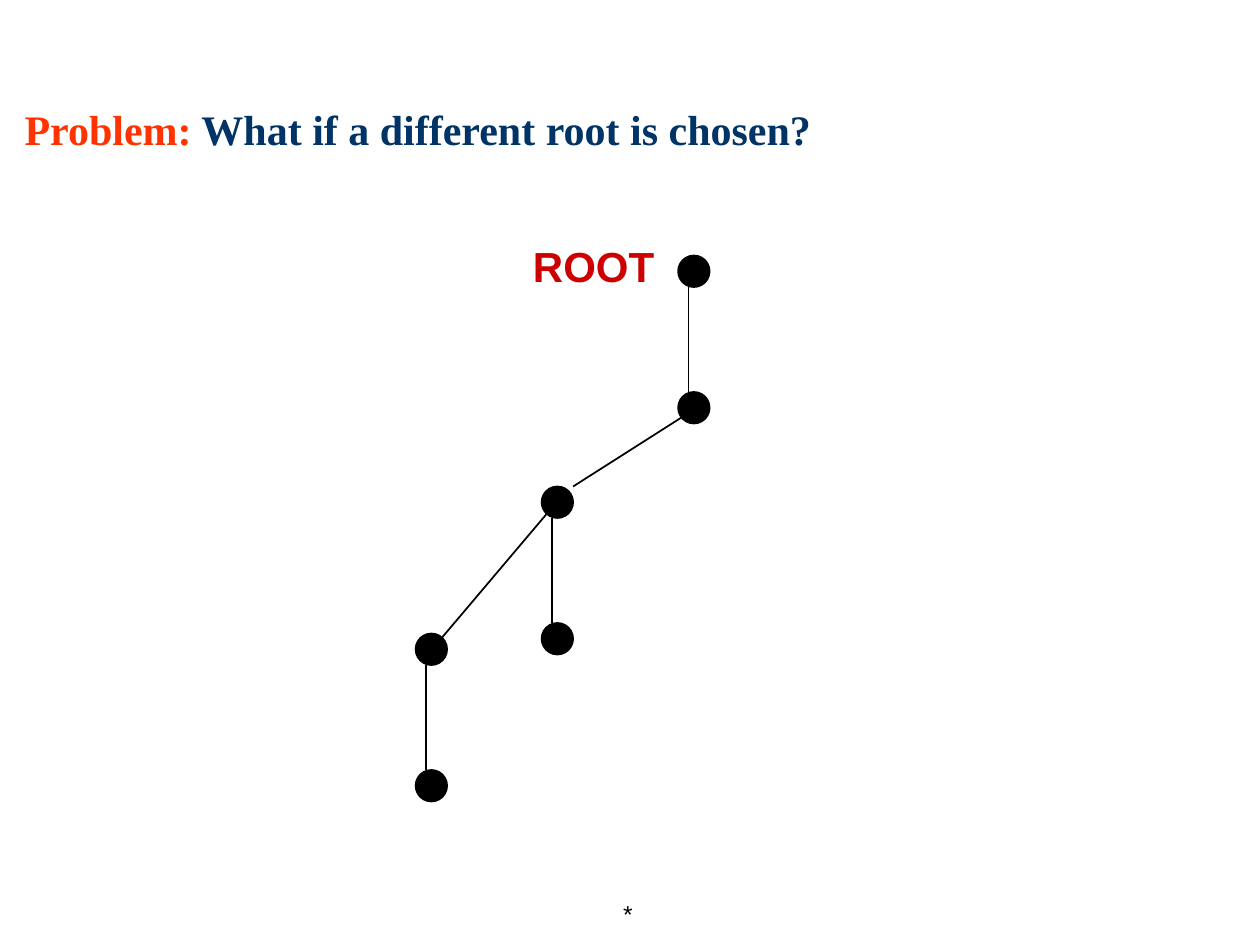
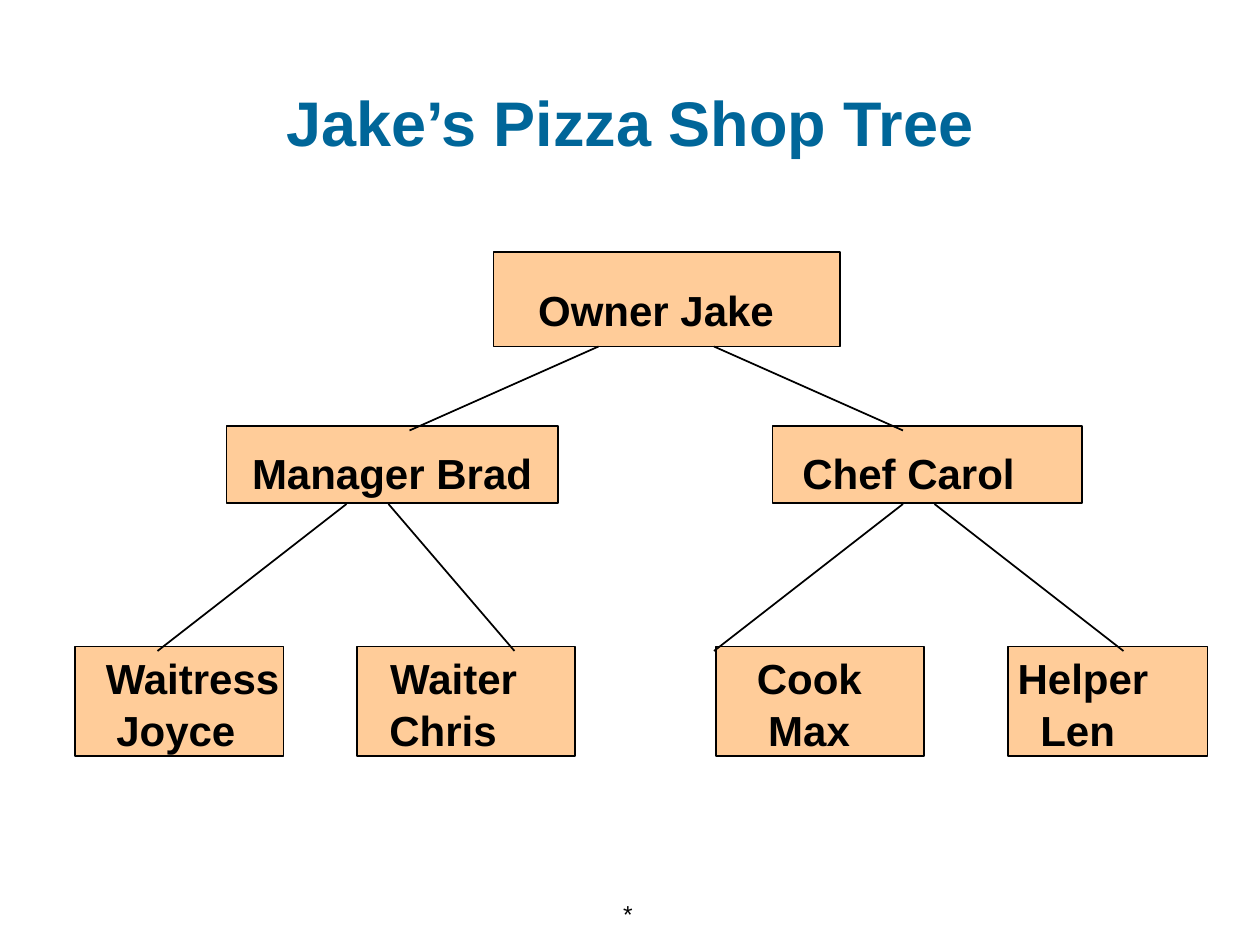
from lxml import etree
from pptx import Presentation
from pptx.dml.color import RGBColor
from pptx.enum.shapes import MSO_CONNECTOR, MSO_SHAPE
from pptx.enum.text import MSO_ANCHOR, PP_ALIGN
from pptx.oxml.ns import qn
from pptx.util import Pt

STRAIGHT = MSO_CONNECTOR.STRAIGHT
OVAL, RECTANGLE = MSO_SHAPE.OVAL, MSO_SHAPE.RECTANGLE
TOP, MIDDLE = MSO_ANCHOR.TOP, MSO_ANCHOR.MIDDLE
LEFT, CENTER, RIGHT = PP_ALIGN.LEFT, PP_ALIGN.CENTER, PP_ALIGN.RIGHT


class Theme:
    black = RGBColor(0x00, 0x00, 0x00)
    problem = RGBColor(0xFF, 0x33, 0x00)
    question = RGBColor(0x00, 0x33, 0x66)
    root = RGBColor(0xCC, 0x00, 0x00)
    title = RGBColor(0x00, 0x66, 0x99)
    box = RGBColor(0xFF, 0xCC, 0x99)
    sans = "Arial"
    serif = "Times New Roman"
    title_size = Pt(36)
    text_size = Pt(24)
    footer_size = Pt(14)
    line_width = Pt(1)


def add_text(slide, frame, parts, font_name, size, alignment=LEFT,
             anchor=TOP, bold=True, wrap=True):
    text_box = slide.shapes.add_textbox(*map(Pt, frame))
    text_frame = text_box.text_frame
    text_frame.word_wrap = wrap
    text_frame.vertical_anchor = anchor
    paragraph = text_frame.paragraphs[0]
    paragraph.alignment = alignment
    for text, color in parts:
        run = paragraph.add_run()
        run.text = text
        run.font.name = font_name
        run.font.size = size
        run.font.bold = bold
        run.font.color.rgb = color


def add_line(slide, *ends):
    connector = slide.shapes.add_connector(STRAIGHT, *map(Pt, ends))
    connector.line.color.rgb = Theme.black
    connector.line.width = Theme.line_width
    etree.SubElement(connector._element.spPr, qn("a:effectLst"))


presentation = Presentation()
presentation.slide_width, presentation.slide_height = Pt(720), Pt(540)
blank_layout = presentation.slide_layouts[6]
root_slide = presentation.slides.add_slide(blank_layout)
shop_slide = presentation.slides.add_slide(blank_layout)
for slide in (root_slide, shop_slide):
    add_text(slide, (320.4, 504, 48.24, 36), [("*", Theme.black)], Theme.sans,
             Theme.footer_size, RIGHT, MIDDLE, bold=False, wrap=False)

filled_shapes = []

node_size, node_step, stem_offset = 18, 78, 6
branches = [(237.5, 362), (309.5, 278), (387.5, 146)]
for left, top in branches:
    add_line(root_slide, left + stem_offset, top + node_size,
             left + stem_offset, top + node_step)
    for node_top in (top, top + node_step):
        node = root_slide.shapes.add_shape(
            OVAL, Pt(left), Pt(node_top), Pt(node_size), Pt(node_size))
        filled_shapes.append((node, Theme.black))
add_line(root_slide, 327.5, 278, 393.5, 236)
add_line(root_slide, 315.5, 290, 249.5, 368)

add_text(root_slide, (297.5, 134, 83.5, 36), [("ROOT", Theme.root)],
         Theme.sans, Theme.text_size, wrap=False)
add_text(root_slide, (7, 55.5, 648, 61),
         [("Problem:", Theme.problem),
          (" What if a different root is chosen?", Theme.question)],
         Theme.serif, Theme.text_size)

add_text(shop_slide, (108, 44, 504, 50.4),
         [("Jake’s Pizza Shop Tree", Theme.title)],
         Theme.sans, Theme.title_size, CENTER)

levels = [
    (144, 54, 18.3, [(282, 198, [("Owner Jake", 25.5)])]),
    (243.5, 44, 12.5, [(129.5, 189.5, [("Manager Brad", 14.5)]),
                       (441.5, 177, [("Chef Carol", 17)])]),
    (369.5, 62.5, 3.5, [(43, 119, [("Waitress", 17.5), ("Joyce", 23.5)]),
                        (204, 124.5, [("Waiter", 19), ("Chris", 18.5)]),
                        (409, 119, [("Cook", 23.5), ("Max", 30)]),
                        (576, 114, [("Helper", 5.5), ("Len", 18.5)])]),
]
for top, height, text_inset, people in levels:
    for left, width, lines in people:
        box = shop_slide.shapes.add_shape(
            RECTANGLE, Pt(left), Pt(top), Pt(width), Pt(height))
        filled_shapes.append((box, Theme.box))
        text_frame = box.text_frame
        text_frame.text = "\n".join(text for text, indent in lines)
        text_frame.word_wrap = True
        text_frame.vertical_anchor = TOP
        text_frame.margin_left = text_frame.margin_right = 0
        text_frame.margin_top, text_frame.margin_bottom = Pt(text_inset), 0
        for number, (text, indent) in enumerate(lines):
            paragraph = text_frame.paragraphs[number]
            paragraph.alignment = LEFT
            paragraph._p.get_or_add_pPr().set("marL", str(Pt(indent)))
            if number:
                paragraph.space_before = Pt(1)
            font = paragraph.runs[0].font
            font.name = Theme.sans
            font.size = Theme.text_size
            font.bold = True
            font.color.rgb = Theme.black

link_levels = [
    (198, 246, [(342, 234), (408, 516)]),
    (288, 372, [(198, 90), (222, 294), (516, 408), (534, 642)]),
]
for start_y, end_y, links in link_levels:
    for start_x, end_x in links:
        add_line(shop_slide, start_x, start_y, end_x, end_y)

for shape, color in filled_shapes:
    shape.shadow.inherit = False
    shape.fill.solid()
    shape.fill.fore_color.rgb = color
    shape.line.color.rgb = Theme.black
    shape.line.width = Theme.line_width

presentation.save("out.pptx")
